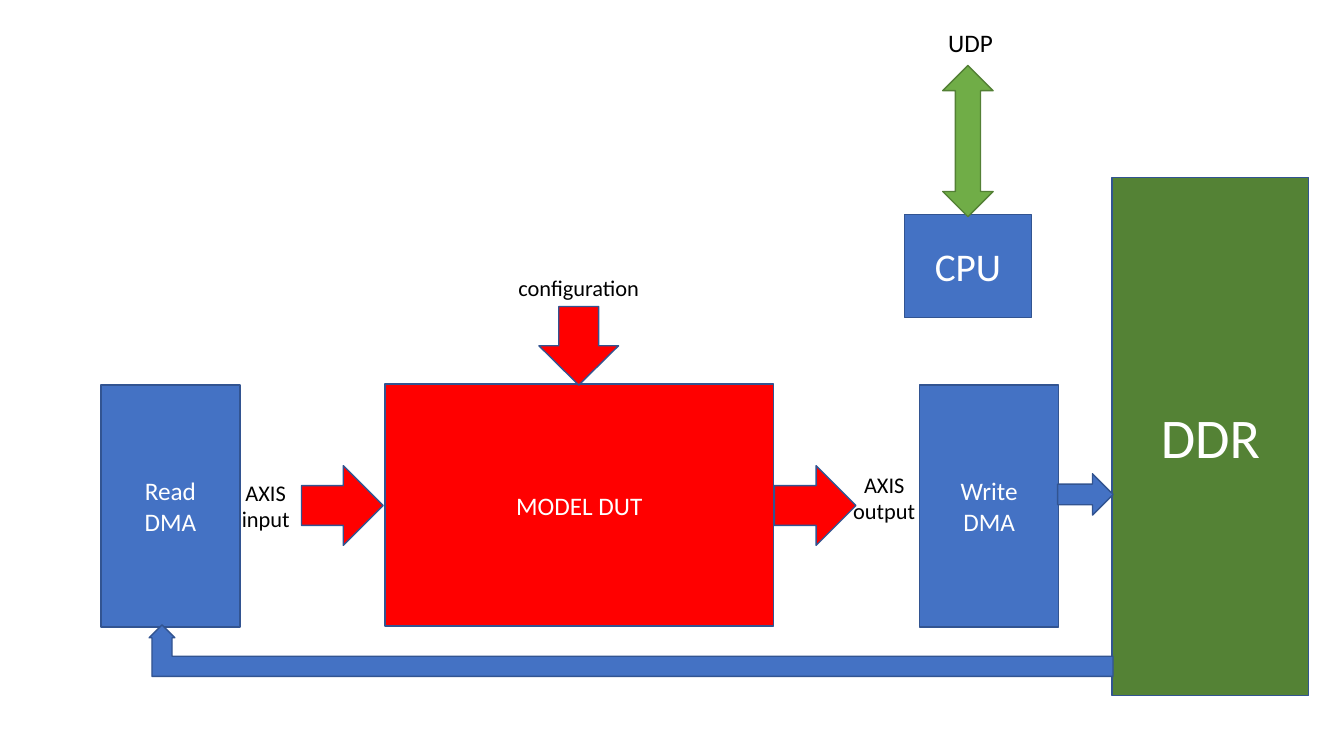
from pptx import Presentation
from pptx.dml.color import RGBColor
from pptx.enum.shapes import MSO_SHAPE
from pptx.enum.text import MSO_ANCHOR, PP_ALIGN
from pptx.util import Inches, Pt

RED = RGBColor(0xFF, 0x00, 0x00)
BLUE = RGBColor(0x44, 0x72, 0xC4)
NAVY = RGBColor(0x32, 0x54, 0x91)
GREEN = RGBColor(0x70, 0xAD, 0x47)
DARK_GREEN = RGBColor(0x54, 0x82, 0x35)
GREEN_EDGE = RGBColor(0x53, 0x80, 0x35)
WHITE = RGBColor(0xFF, 0xFF, 0xFF)
BLACK = RGBColor(0x00, 0x00, 0x00)


def write_text(frame, text, size=18, color=WHITE, anchor=MSO_ANCHOR.MIDDLE, wrap=True):
    """Fill a text frame with centred paragraphs, one per line of text."""
    frame.text = text
    frame.word_wrap = wrap
    frame.vertical_anchor = anchor
    for paragraph in frame.paragraphs:
        paragraph.alignment = PP_ALIGN.CENTER
        paragraph.font.name = "Calibri"
        paragraph.font.size = Pt(size)
        paragraph.font.color.rgb = color


def add_figure(slide, kind, box, fill, line=NAVY):
    """Add a filled, outlined preset shape in the given box."""
    shape = slide.shapes.add_shape(kind, *map(Inches, box))
    shape.shadow.inherit = False
    shape.fill.solid()
    shape.fill.fore_color.rgb = fill
    shape.line.color.rgb = line
    shape.line.width = Pt(1)
    return shape


def add_block(slide, text, box, fill=BLUE, size=18):
    """Add a labelled rectangular block."""
    shape = add_figure(slide, MSO_SHAPE.RECTANGLE, box, fill)
    write_text(shape.text_frame, text, size=size)


def add_label(slide, text, box, size=16):
    """Add a black caption that does not wrap."""
    label = slide.shapes.add_textbox(*map(Inches, box))
    write_text(label.text_frame, text, size=size, color=BLACK,
               anchor=MSO_ANCHOR.TOP, wrap=False)


def add_dut(slide, left, top, width, height):
    """Draw the device under test with its input, output and configuration."""
    add_block(slide, "MODEL DUT", (left, top, width, height), fill=RED)
    arrow_top = top + 0.81
    for arrow_left in (left - 0.83, left + width + 0.01):
        add_figure(slide, MSO_SHAPE.RIGHT_ARROW, (arrow_left, arrow_top, 0.81, 0.79), RED)
    middle = left + width / 2
    add_figure(slide, MSO_SHAPE.DOWN_ARROW, (middle - 0.4, top - 0.77, 0.79, 0.78), RED)
    add_label(slide, "AXIS\ninput", (left - 1.53, top + 0.89, 0.69, 0.64))
    add_label(slide, "AXIS\noutput", (left + width + 0.69, top + 0.81, 0.82, 0.64))
    add_label(slide, "configuration", (middle - 0.71, top - 1.14, 1.41, 0.37))


def add_cpu(slide, left, top, width, height):
    """Draw the processor and its two-way network link."""
    add_block(slide, "CPU", (left, top, width, height), size=28)
    middle = left + width / 2
    link = add_figure(slide, MSO_SHAPE.LEFT_RIGHT_ARROW,
                      (middle - 0.75, top - 0.98, 1.5, 0.5), GREEN, line=GREEN_EDGE)
    link.rotation = 90
    add_label(slide, "UDP", (middle - 0.33, top - 1.91, 0.71, 0.4), size=18)


def add_memory_path(slide, left, top, width, height):
    """Draw both DMA blocks, the memory and the arrows that join them."""
    dma_width, dma_height = 1.38, 2.4
    dma_top = top + 2.06
    write_left = left + 8.12
    for name, dma_left in (("Read", left), ("Write", write_left)):
        add_block(slide, f"{name}\nDMA", (dma_left, dma_top, dma_width, dma_height))
    memory_width = 1.95
    memory_left = left + width - memory_width
    add_block(slide, "DDR", (memory_left, top, memory_width, height),
              fill=DARK_GREEN, size=40)
    write_right = write_left + dma_width
    add_figure(slide, MSO_SHAPE.RIGHT_ARROW,
               (write_right - 0.01, dma_top + 0.88, 0.55, 0.41), BLUE)
    return_left = left + 0.48
    return_arrow = add_figure(
        slide, MSO_SHAPE.BENT_UP_ARROW,
        (return_left, dma_top + dma_height - 0.02, memory_left + 0.01 - return_left, 0.51),
        BLUE)
    return_arrow.adjustments[0] = 0.39
    return_arrow._element.spPr.xfrm.set("flipH", "1")


def main():
    """Build the block diagram and save it."""
    presentation = Presentation()
    presentation.slide_width = Inches(13.33)
    presentation.slide_height = Inches(7.5)
    slide = presentation.slides.add_slide(presentation.slide_layouts[6])
    add_dut(slide, 3.82, 3.81, 3.85, 2.4)
    add_memory_path(slide, 1, 1.76, 11.98, 5.14)
    add_cpu(slide, 8.97, 2.13, 1.26, 1.02)
    presentation.save("out.pptx")


if __name__ == "__main__":
    main()
